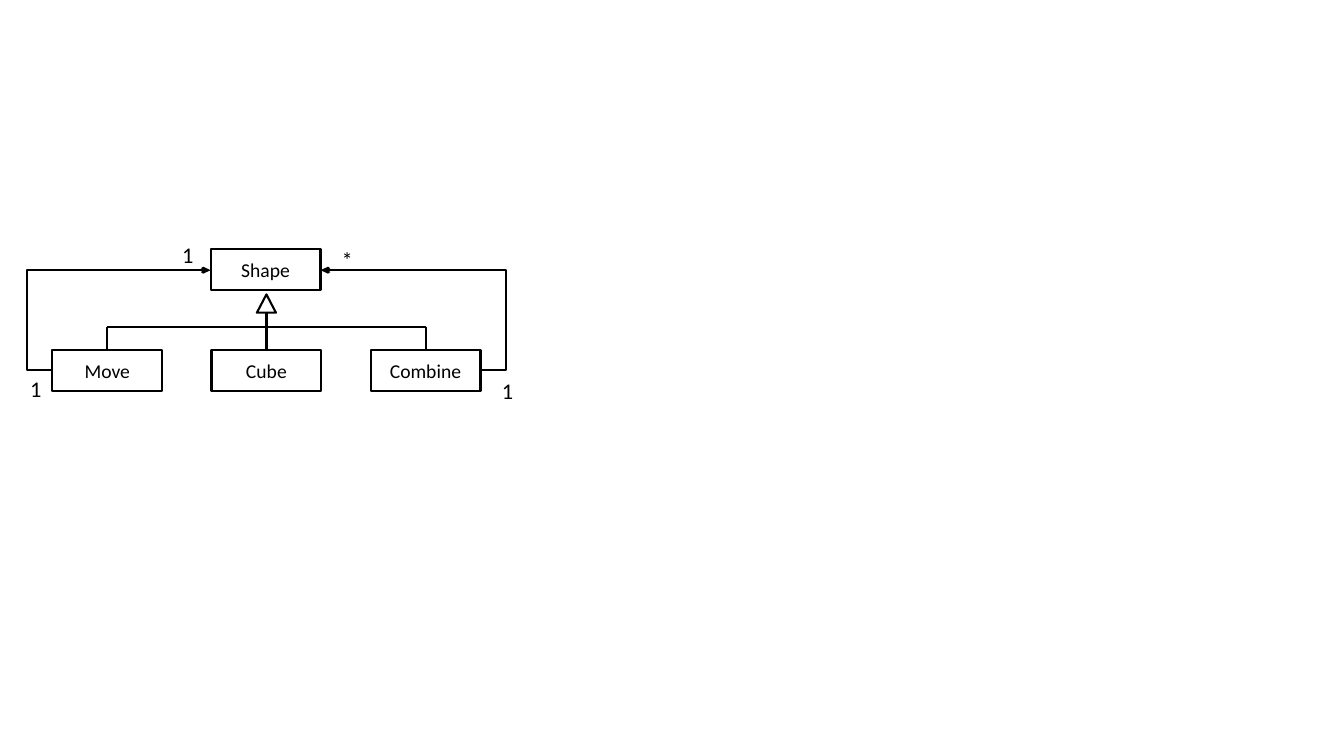
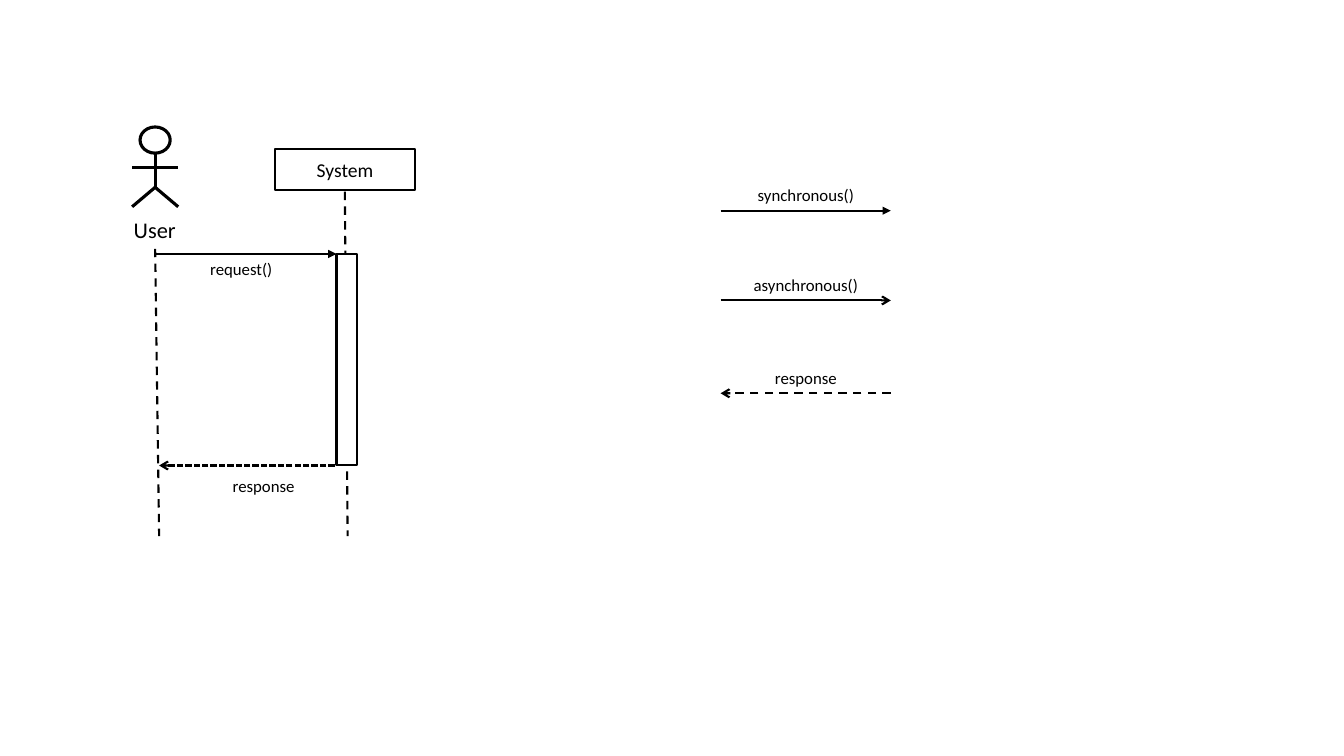
"""Build two UML slides: a class diagram and a sequence diagram."""
from lxml.etree import SubElement
from pptx import Presentation
from pptx.dml.color import RGBColor
from pptx.enum.dml import MSO_LINE_DASH_STYLE as Dash
from pptx.enum.shapes import MSO_CONNECTOR_TYPE as Link, MSO_SHAPE as Form
from pptx.enum.text import MSO_ANCHOR as Anchor, MSO_AUTO_SIZE as Fit, PP_ALIGN as Align
from pptx.oxml.ns import qn
from pptx.util import Cm, Pt

COLORS = {"ink": "000000", "paper": "FFFFFF"}
INK, PAPER = (RGBColor.from_string(COLORS[name]) for name in ("ink", "paper"))
FONT = {"name": "Calibri"}
BOX_FRAME = {"word_wrap": True, "vertical_anchor": Anchor.MIDDLE}
LABEL_FRAME = {"word_wrap": True, "auto_size": Fit.SHAPE_TO_FIT_TEXT}


def add_box(shapes, area, text="", size=14, form=Form.RECTANGLE, weight=1.5):
    """Add an outlined shape, or a plain text label when form is None."""
    left, top, width, height = map(Cm, area)
    if form is None:
        box = shapes.add_textbox(left, top, width, height)
    else:
        box = shapes.add_shape(form, left, top, width, height)
        box.shadow.inherit = False
        box.fill.solid()
        box.fill.fore_color.rgb = PAPER
        box.line.color.rgb = INK
        box.line.width = Pt(weight)
    if text:
        frame = box.text_frame
        for name, value in (LABEL_FRAME if form is None else BOX_FRAME).items():
            setattr(frame, name, value)
        para = frame.paragraphs[0]
        para.alignment = Align.CENTER
        span = para.add_run()
        span.text = text
        for name, value in {**FONT, "size": Pt(size)}.items():
            setattr(span.font, name, value)
        span.font.color.rgb = INK
    return box


def add_line(shapes, ends, tip=None, dash=None, weight=1.5, bend=None):
    """Add a straight line, or an elbow whose middle leg sits at bend."""
    kind = Link.STRAIGHT if bend is None else Link.ELBOW
    line = shapes.add_connector(kind, *map(Cm, ends))
    line.line.color.rgb = INK
    line.line.width = Pt(weight)
    if dash:
        line.line.dash_style = dash
    props = line._element.spPr
    if tip:
        tip_width = "med" if bend is None else "sm"
        SubElement(props.find(qn("a:ln")), qn("a:tailEnd"), type=tip, w=tip_width)
    SubElement(props, qn("a:effectLst"))
    if bend is not None:
        guides = props.find(qn("a:prstGeom")).get_or_add_avLst()
        SubElement(guides, qn("a:gd"), name="adj1", fmla=f"val {round(bend * 100000)}")


deck = Presentation()
deck.slide_width, deck.slide_height = Cm(33.87), Cm(19.05)
class_page, sequence_page = (deck.slides.add_slide(deck.slide_layouts[6]) for _ in range(2))

shapes = class_page.shapes
BOX_W, BOX_H = 2.77, 1.04
PARENT_X, PARENT_Y = 5.31, 6.27
CHILD_X, CHILD_Y, CHILD_STEP = 1.32, 8.81, 4.01
BAR_Y = 8.23
add_box(shapes, (PARENT_X, PARENT_Y, BOX_W, BOX_H), "Shape")
stems = []
for index, name in enumerate(("Move", "Cube", "Combine")):
    left = CHILD_X + index * CHILD_STEP
    add_box(shapes, (left, CHILD_Y, BOX_W, BOX_H), name)
    stems.append(left + BOX_W / 2)
    add_line(shapes, (stems[-1], CHILD_Y, stems[-1], BAR_Y))
add_line(shapes, (stems[0], BAR_Y, stems[-1], BAR_Y))
add_line(shapes, (stems[1], BAR_Y, stems[1], 7.67))
add_box(shapes, (stems[1] - 0.24, 7.42, 0.48, 0.46), form=Form.ISOSCELES_TRIANGLE)

combine_right = CHILD_X + 2 * CHILD_STEP + BOX_W
for start, end in ((CHILD_X, PARENT_X), (combine_right, PARENT_X + BOX_W)):
    add_line(shapes, (start, 9.32, end, 6.81), tip="arrow", bend=-0.16)
for text, left, top in (("1", 4.34, 5.94), ("1", 0.51, 9.32), ("1", 12.4, 9.37), ("*", 8.36, 6.07)):
    add_box(shapes, (left, top, 0.66, 0.94), text, 16, None)

shapes = sequence_page.shapes
USER_X, SYSTEM_X = 3.91, 8.69
ACTIVE_X, ACTIVE_Y, ACTIVE_H = 8.48, 6.4, 5.33
LIFE_END = 13.51
add_box(shapes, (6.93, 3.76, 3.53, BOX_H), "System")

HIP_Y, ARM_Y, FOOT_Y, REACH = 4.72, 4.22, 5.21, 0.58
figure = shapes.add_group_shape().shapes
add_box(figure, (USER_X - 0.38, 3.2, 0.76, 0.66), form=Form.OVAL, weight=2.25).fill.background()
for limb in (
    (USER_X, 3.86, USER_X, HIP_Y),
    (USER_X - REACH, ARM_Y, USER_X + REACH, ARM_Y),
    (USER_X, HIP_Y, USER_X - REACH, FOOT_Y),
    (USER_X, HIP_Y, USER_X + REACH, FOOT_Y),
):
    add_line(figure, limb, weight=2.25)

for lifeline in ((SYSTEM_X, 4.83, 8.76, LIFE_END), (USER_X, 6.27, 4.01, LIFE_END)):
    add_line(shapes, lifeline, dash=Dash.DASH)
add_box(shapes, (ACTIVE_X, ACTIVE_Y, 0.53, ACTIVE_H))
add_line(shapes, (USER_X, ACTIVE_Y, ACTIVE_X, ACTIVE_Y), tip="triangle")
reply_y = ACTIVE_Y + ACTIVE_H
add_line(shapes, (8.43, reply_y, 4.01, reply_y), tip="arrow", dash=Dash.SQUARE_DOT)
for text, size, area in (
    ("User", 16, (2.16, 5.31, 3.48, 0.94)),
    ("request()", 12, (4.34, 6.4, 3.48, 0.76)),
    ("response", 12, (4.5, 11.86, 4.29, 0.76)),
):
    add_box(shapes, area, text, size, None)

KEY_LEFT, KEY_RIGHT = 18.16, 22.45
for text, y, start, end, tip, dash in (
    ("synchronous()", 5.31, KEY_LEFT, KEY_RIGHT, "triangle", None),
    ("asynchronous()", 7.57, KEY_LEFT, KEY_RIGHT, "arrow", None),
    ("response", 9.91, KEY_RIGHT, KEY_LEFT, "arrow", Dash.DASH),
):
    add_line(shapes, (start, y, end, y), tip=tip, dash=dash)
    add_box(shapes, (18.57, y - 0.77, 3.48, 0.76), text, 12, None)

deck.save("out.pptx")
